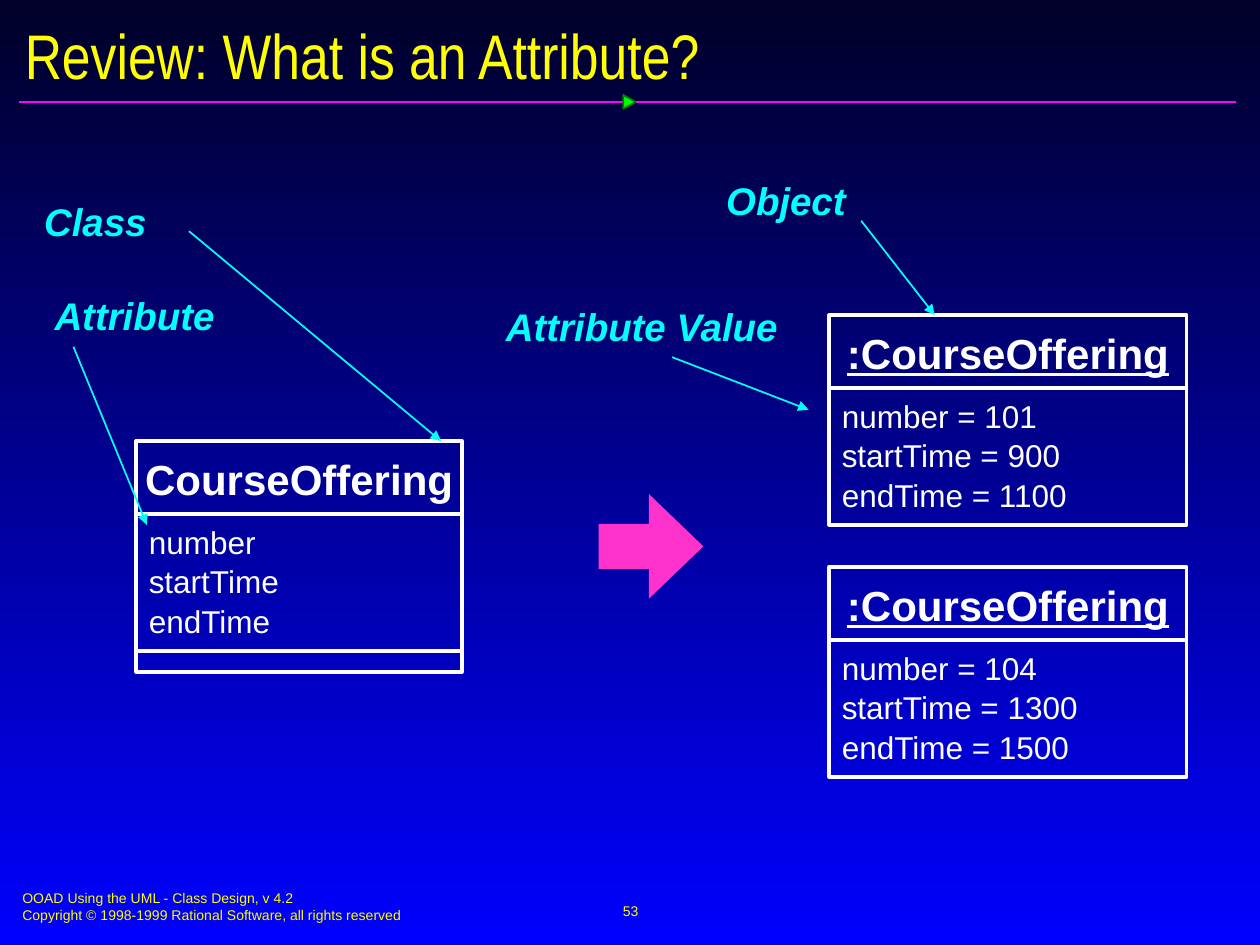
from dataclasses import dataclass

from lxml.etree import SubElement
from pptx import Presentation
from pptx.dml.color import RGBColor
from pptx.enum.shapes import MSO_CONNECTOR, MSO_SHAPE
from pptx.enum.text import MSO_ANCHOR, PP_ALIGN
from pptx.oxml.ns import qn
from pptx.util import Cm, Pt

NAVY = RGBColor(0x00, 0x00, 0x28)
BLUE = RGBColor(0x00, 0x00, 0xFF)
YELLOW = RGBColor(0xFF, 0xFF, 0x00)
WHITE = RGBColor(0xFF, 0xFF, 0xFF)
CYAN = RGBColor(0x00, 0xFF, 0xFF)
MAGENTA = RGBColor(0xFF, 0x01, 0xFF)
PINK = RGBColor(0xFF, 0x33, 0xCC)
GREEN = RGBColor(0x00, 0xFF, 0x00)
DARK_GREEN = RGBColor(0x03, 0x7C, 0x03)

BOX_HEIGHT = 4.23
NAME_HEIGHT = 1.48
OPERATIONS_HEIGHT = 0.42
BOX_LINE = 2.25


@dataclass(frozen=True)
class UmlBox:
    left: float
    top: float
    width: float
    name: str
    attributes: tuple[str, ...]
    is_object: bool = True


@dataclass(frozen=True)
class Callout:
    text: str
    left: float
    top: float
    arrow_start: tuple[float, float]
    arrow_end: tuple[float, float]


UML_BOXES = (
    UmlBox(16.72, 6.35, 7.2, ":CourseOffering",
           ("number = 101", "startTime = 900", "endTime = 1100")),
    UmlBox(16.72, 11.43, 7.2, ":CourseOffering",
           ("number = 104", "startTime = 1300", "endTime = 1500")),
    UmlBox(2.75, 8.89, 6.56, "CourseOffering",
           ("number", "startTime", "endTime"), is_object=False),
)

CALLOUTS = (
    Callout("Class", 0.64, 3.81, (3.81, 4.66), (8.89, 8.89)),
    Callout("Attribute", 0.85, 5.72, (1.48, 6.99), (2.96, 10.58)),
    Callout("Object", 14.39, 3.39, (17.36, 4.45), (18.84, 6.35)),
    Callout("Attribute Value", 9.95, 5.93, (13.55, 7.2), (16.3, 8.26)),
)


def add_text(slide, lines, left, top, width, height, *, size, color, font="Arial",
             bold=False, italic=False, underline=False, align=PP_ALIGN.LEFT,
             anchor=MSO_ANCHOR.TOP, wrap=True, margins=(0.25, 0.13), spacing=1.05):
    """Add a text box with one paragraph per line; margins are side and top in cm."""
    frame = slide.shapes.add_textbox(Cm(left), Cm(top), Cm(width), Cm(height)).text_frame
    frame.word_wrap = wrap
    frame.vertical_anchor = anchor
    frame.margin_left = frame.margin_right = Cm(margins[0])
    frame.margin_top = frame.margin_bottom = Cm(margins[1])
    for index, line in enumerate(lines):
        paragraph = frame.paragraphs[0] if index == 0 else frame.add_paragraph()
        paragraph.alignment = align
        paragraph.line_spacing = spacing
        run = paragraph.add_run()
        run.text = line
        run.font.name = font
        run.font.size = Pt(size)
        run.font.color.rgb = color
        run.font.bold = bold
        run.font.italic = italic
        run.font.underline = underline


def add_line(slide, start: tuple[float, float], end: tuple[float, float],
             color: RGBColor, width: float, arrow: bool = False) -> None:
    connector = slide.shapes.add_connector(
        MSO_CONNECTOR.STRAIGHT, *(Cm(value) for value in (*start, *end)))
    connector.line.color.rgb = color
    connector.line.width = Pt(width)
    if arrow:
        SubElement(connector.line._get_or_add_ln(), qn("a:tailEnd"), type="triangle")
    SubElement(connector._element.spPr, qn("a:effectLst"))


def add_shape(slide, kind, left: float, top: float, width: float, height: float,
              fill=None, line=None, line_width: float = 1):
    shape = slide.shapes.add_shape(kind, Cm(left), Cm(top), Cm(width), Cm(height))
    shape.shadow.inherit = False
    if fill is None:
        shape.fill.background()
    else:
        shape.fill.solid()
        shape.fill.fore_color.rgb = fill
    if line is None:
        shape.line.fill.background()
    else:
        shape.line.color.rgb = line
        shape.line.width = Pt(line_width)
    return shape


def add_uml_box(slide, box: UmlBox) -> None:
    """Draw the frame, name and attributes; a class also gets an operations row."""
    divider = box.top + NAME_HEIGHT
    add_shape(slide, MSO_SHAPE.RECTANGLE, box.left, box.top, box.width, BOX_HEIGHT,
              line=WHITE, line_width=BOX_LINE)
    add_text(slide, [box.name], box.left, box.top + 0.21, box.width, 1.02,
             size=24, color=WHITE, bold=True, underline=box.is_object,
             align=PP_ALIGN.CENTER, wrap=False, margins=(0, 0))
    add_line(slide, (box.left, divider), (box.left + box.width, divider), WHITE, BOX_LINE)
    add_text(slide, box.attributes, box.left, divider, box.width, 2.54,
             size=18, color=WHITE)
    if not box.is_object:
        add_shape(slide, MSO_SHAPE.RECTANGLE, box.left, box.top + BOX_HEIGHT,
                  box.width, OPERATIONS_HEIGHT, line=WHITE, line_width=BOX_LINE)


def add_callout(slide, callout: Callout) -> None:
    add_text(slide, [callout.text], callout.left, callout.top, 6.56, 1.19,
             size=22, color=CYAN, bold=True, italic=True)
    add_line(slide, callout.arrow_start, callout.arrow_end, CYAN, 1, arrow=True)


def add_frame(slide) -> None:
    """Set the background and add the title, rule and footer."""
    background = slide.background.fill
    background.gradient()
    background.gradient_angle = 270
    for stop, color in zip(background.gradient_stops, (NAVY, BLUE)):
        stop.color.rgb = color

    add_line(slide, (0.38, 2.06), (24.92, 2.06), MAGENTA, 1)
    marker = add_shape(slide, MSO_SHAPE.ISOSCELES_TRIANGLE, 12.55, 1.93, 0.28, 0.25,
                       fill=GREEN, line=DARK_GREEN)
    marker.rotation = 90
    add_text(slide, ["OOAD Using the UML - Class Design, v 4.2",
                     "Copyright © 1998-1999 Rational Software, all rights reserved"],
             0.2, 17.78, 12.95, 0.94, size=8, color=YELLOW)
    add_text(slide, ["53"], 8.69, 17.73, 8.05, 1.27, size=8, color=YELLOW,
             align=PP_ALIGN.CENTER, anchor=MSO_ANCHOR.MIDDLE, wrap=False)
    add_text(slide, ["Review: What is an Attribute?"], 0.25, 0.36, 24.99, 1.47,
             size=36, color=YELLOW, font="Arial Narrow", anchor=MSO_ANCHOR.MIDDLE,
             spacing=1.0)


def main() -> None:
    presentation = Presentation()
    presentation.slide_width = Cm(25.4)
    presentation.slide_height = Cm(19.05)
    slide = presentation.slides.add_slide(presentation.slide_layouts[6])

    add_frame(slide)
    arrow = add_shape(slide, MSO_SHAPE.RIGHT_ARROW, 12.07, 9.96, 2.11, 2.11, fill=PINK)
    arrow.adjustments[0] = 0.43
    arrow.adjustments[1] = 0.52
    for box in UML_BOXES:
        add_uml_box(slide, box)
    for callout in CALLOUTS:
        add_callout(slide, callout)

    presentation.save("out.pptx")


if __name__ == "__main__":
    main()
